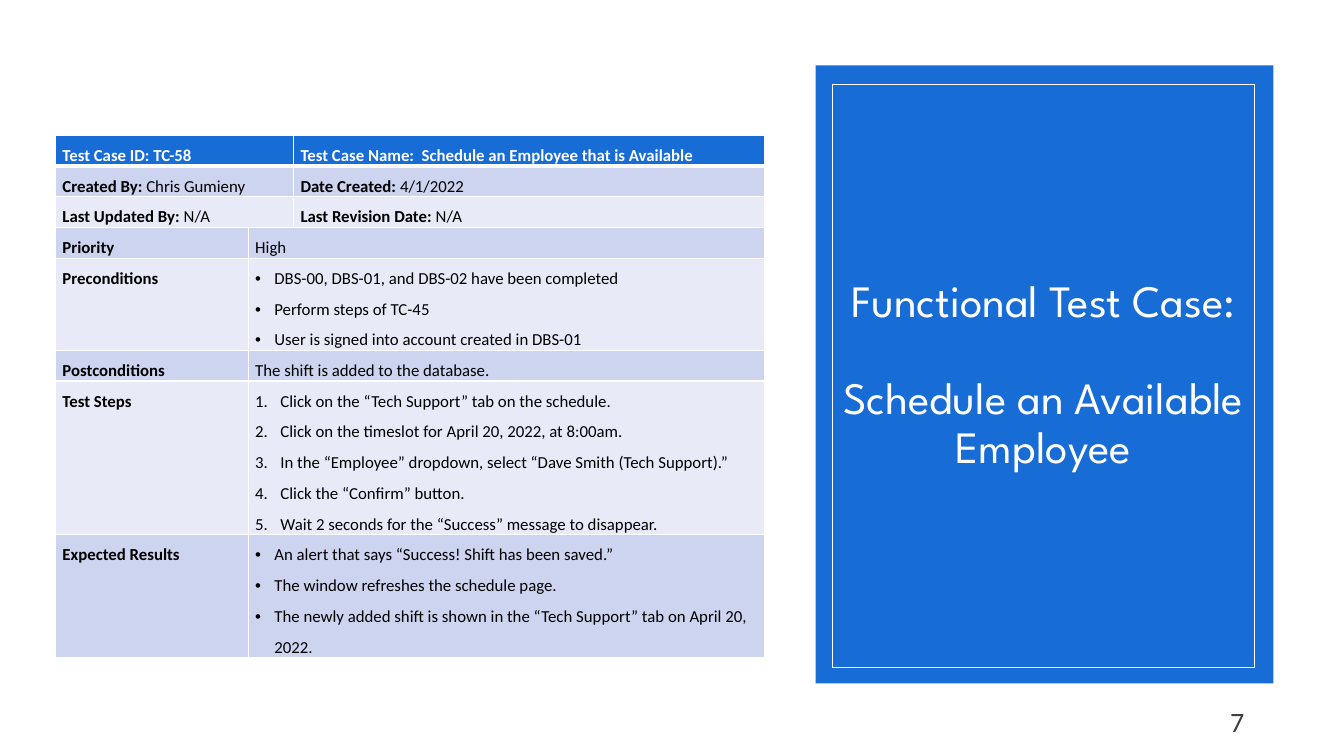
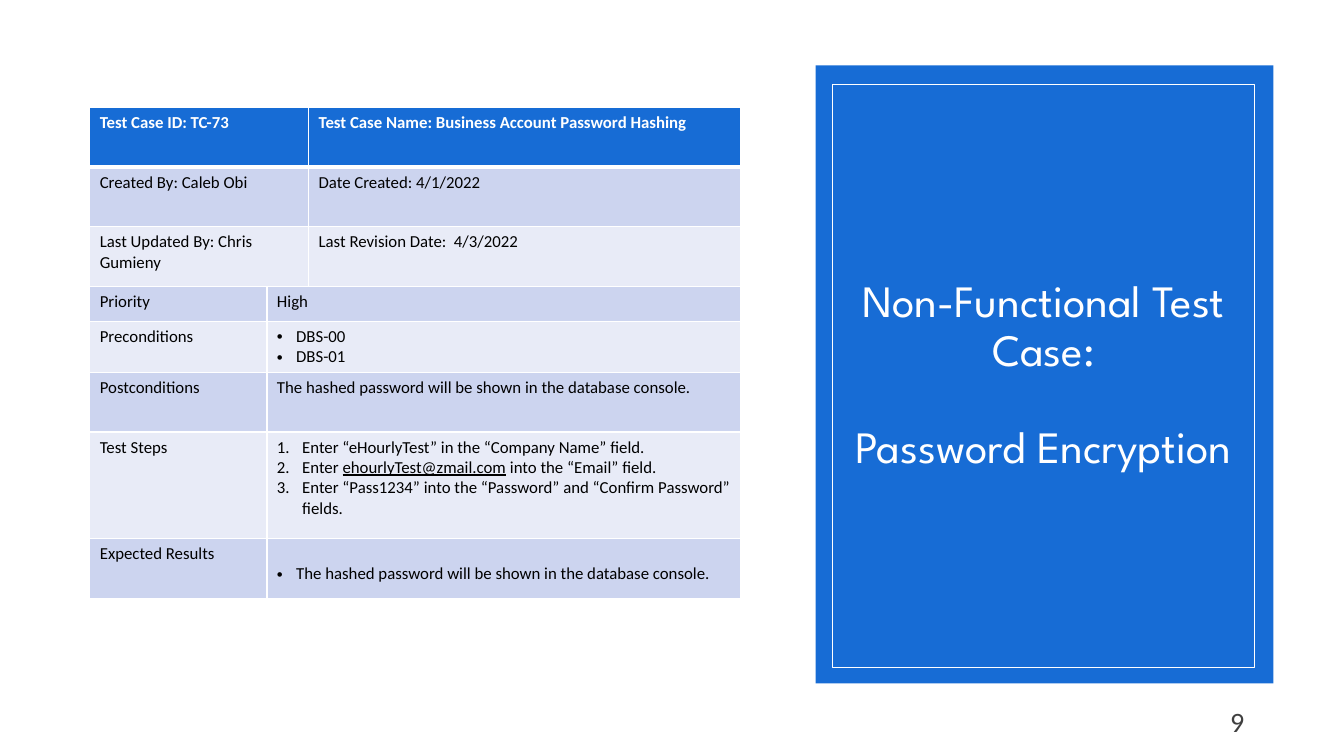
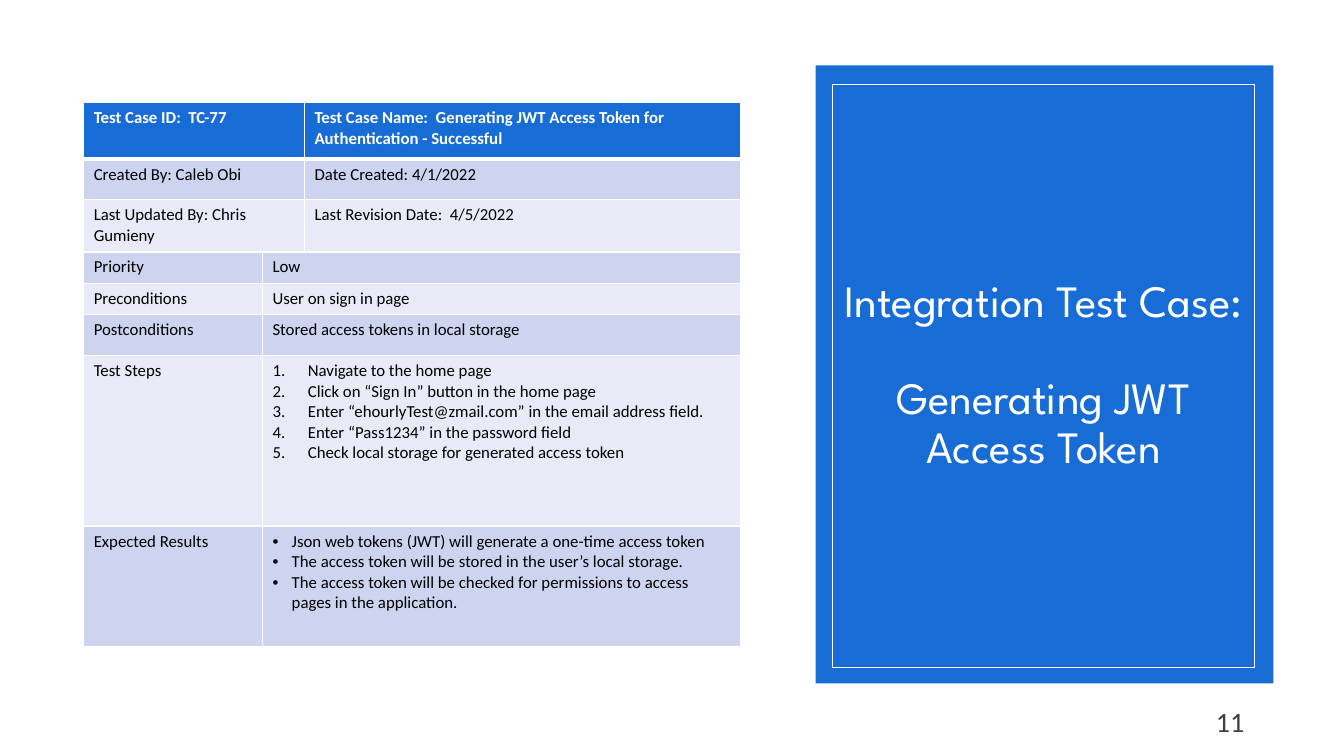
from lxml.etree import SubElement
from pptx import Presentation
from pptx.dml.color import RGBColor
from pptx.enum.shapes import MSO_SHAPE as Preset
from pptx.enum.text import MSO_ANCHOR as Anchor, MSO_AUTO_SIZE as AutoSize, PP_ALIGN as Align
from pptx.oxml.ns import qn
from pptx.util import Inches, Pt

# Shared look
BLUE = RGBColor(0x17, 0x6C, 0xD5)
DARK_BAND = RGBColor(0xCC, 0xD4, 0xEF)
LIGHT_BAND = RGBColor(0xE8, 0xEB, 0xF7)
WHITE = RGBColor(0xFF, 0xFF, 0xFF)
BLACK = RGBColor(0, 0, 0)
GRAY = RGBColor(0x40, 0x40, 0x40)
BODY_FONT, TITLE_FONT = "Calibri", "League Spartan"

SLIDE_SIZE = (13.33, 7.5)
PANEL = (8.09, 0.65, 4.54, 6.13)
TITLE_FRAME = (8.26, 0.84, 4.18, 5.78)
PAGE_NUMBER = (11.52, 6.97, 0.92, 0.4)
COLUMN_SHARES = (0.272, 0.064, 0.664)
TITLE_GAP = 34.6
BULLET, NUMBER = "•", "1."
BULLET_INDENT = 0.19

# Content
EMAIL = "ehourlyTest@zmail.com"
HEAD_LABELS = [
    ("Test Case ID: ", "Test Case Name: "),
    ("Created By: ", "Date Created: "),
    ("Last Updated By: ", "Last Revision Date: "),
]
BODY_LABELS = ["Priority", "Preconditions", "Postconditions", "Test Steps", "Expected Results"]

CASES = [
    {
        "title": ("Functional Test Case:", "Schedule an Available Employee"),
        "page": 7,
        "place": (0.55, 1.34, 7.03),
        "rows": (0.26, 0.26, 0.26, 0.26, 0.84, 0.26, 1.42, 0.84),
        "cell": {"margin_left": 0.07, "margin_right": 0.07, "margin_top": 0, "margin_bottom": 0},
        "line_spacing": 1.5,
        "bold_labels": True,
        "number_indent": 0.25,
        "head": [
            ("TC-58", " Schedule an Employee that is Available"),
            ("Chris Gumieny", "4/1/2022"),
            ("N/A", "N/A"),
        ],
        "body": [
            "High",
            (BULLET, [
                "DBS-00, DBS-01, and DBS-02 have been completed",
                "Perform steps of TC-45",
                "User is signed into account created in DBS-01",
            ]),
            "The shift is added to the database.",
            (NUMBER, [
                "Click on the “Tech Support” tab on the schedule.",
                "Click on the timeslot for April 20, 2022, at 8:00am.",
                "In the “Employee” dropdown, select “Dave Smith (Tech Support).”",
                "Click the “Confirm” button.",
                "Wait 2 seconds for the “Success” message to disappear.",
            ]),
            (BULLET, [
                "An alert that says “Success! Shift has been saved.”",
                "The window refreshes the schedule page.",
                "The newly added shift is shown in the “Tech Support” tab on April 20, 2022.",
            ]),
        ],
    },
    {
        "title": ("Non-Functional Test Case:", "Password Encryption"),
        "page": 9,
        "place": (0.89, 1.07, 6.46),
        "rows": (0.59, 0.59, 0.59, 0.35, 0.35, 0.59, 1.06, 0.59),
        "number_indent": 0.25,
        "last_margin_top": 0.25,
        "head": [
            ("TC-73", "Business Account Password Hashing"),
            ("Caleb Obi", "4/1/2022"),
            ("Chris Gumieny", " 4/3/2022"),
        ],
        "body": [
            "High",
            (BULLET, ["DBS-00", "DBS-01"]),
            "The hashed password will be shown in the database console.",
            (NUMBER, [
                "Enter “eHourlyTest” in the “Company Name” field.",
                ("Enter ", EMAIL, " into the “Email” field."),
                "Enter “Pass1234” into the “Password” and “Confirm Password” fields.",
            ]),
            (BULLET, ["The hashed password will be shown in the database console."]),
        ],
    },
    {
        "title": ("Integration Test Case:", "Generating JWT Access Token"),
        "page": 11,
        "place": (0.83, 1.02, 6.52),
        "rows": (0.56, 0.4, 0.52, 0.31, 0.31, 0.41, 1.69, 1.2),
        "number_indent": 0.35,
        "head": [
            (" TC-77", " Generating JWT Access Token for Authentication - Successful"),
            ("Caleb Obi", "4/1/2022"),
            ("Chris Gumieny", " 4/5/2022"),
        ],
        "body": [
            "Low",
            "User on sign in page",
            "Stored access tokens in local storage",
            (NUMBER, [
                "Navigate to the home page",
                "Click on “Sign In” button in the home page",
                f"Enter “{EMAIL}” in the email address field.",
                "Enter “Pass1234” in the password field",
                "Check local storage for generated access token",
            ]),
            (BULLET, [
                "Json web tokens (JWT) will generate a one-time access token",
                "The access token will be stored in the user’s local storage.",
                "The access token will be checked for permissions to access pages in the application.",
            ]),
        ],
    },
]


# Text helpers
def apply(target, formats):
    for name, value in formats.items():
        setattr(target, name, value)


def add_run(paragraph, text, color=BLACK, **formats):
    run = paragraph.add_run()
    run.text = text
    apply(run.font, {"name": BODY_FONT, "size": Pt(12), "bold": False, **formats})
    run.font.color.rgb = color


def add_marker(paragraph, marker, indent):
    properties = paragraph._p.get_or_add_pPr()
    properties.set("marL", str(Inches(indent)))
    properties.set("indent", str(-Inches(indent)))
    if marker == BULLET:
        SubElement(properties, qn("a:buFont")).set("typeface", "Arial")
        SubElement(properties, qn("a:buChar")).set("char", BULLET)
    else:
        SubElement(properties, qn("a:buAutoNum")).set("type", "arabicPeriod")


# Table helpers
def set_borders(cell, top, bottom):
    properties = cell._tc.get_or_add_tcPr()
    widths = {"a:lnL": 1, "a:lnR": 1, "a:lnT": top, "a:lnB": bottom}
    for tag, width in widths.items():
        line = SubElement(properties, qn(tag), w=str(Pt(width)))
        fill = SubElement(line, qn("a:solidFill"))
        SubElement(fill, qn("a:srgbClr")).set("val", str(WHITE))


def fill_list(cell, case, marker, items):
    frame = cell.text_frame
    indent = BULLET_INDENT if marker == BULLET else case["number_indent"]
    for index, item in enumerate(items):
        paragraph = frame.add_paragraph() if index else frame.paragraphs[0]
        paragraph.line_spacing = case.get("line_spacing")
        add_marker(paragraph, marker, indent)
        pieces = (item,) if isinstance(item, str) else item
        for position, piece in enumerate(pieces):
            add_run(paragraph, piece, underline=position % 2 == 1)


def fill_line(cell, case, label, value, header=False):
    paragraph = cell.text_frame.paragraphs[0]
    paragraph.line_spacing = case.get("line_spacing")
    color = WHITE if header else BLACK
    if label:
        add_run(paragraph, label, color, bold=header or case.get("bold_labels", False))
    if value:
        add_run(paragraph, value, color, bold=header)


def add_case_table(slide, case):
    left, top, width = case["place"]
    heights = case["rows"]
    frame = slide.shapes.add_table(len(heights), len(COLUMN_SHARES), Inches(left), Inches(top),
                                   Inches(width), Inches(sum(heights)))
    table = frame.table
    for column, share in zip(table.columns, COLUMN_SHARES):
        column.width = Inches(width * share)
    margins = {name: Inches(value) for name, value in case.get("cell", {}).items()}
    head_count = len(HEAD_LABELS)

    for index, height in enumerate(heights):
        table.rows[index].height = Inches(height)
        band = BLUE if index == 0 else DARK_BAND if index % 2 else LIGHT_BAND
        for column in range(len(COLUMN_SHARES)):
            cell = table.cell(index, column)
            set_borders(cell, 3 if index == 1 else 1, 3 if index == 0 else 1)
            cell.fill.solid()
            cell.fill.fore_color.rgb = band
            apply(cell, margins)
        # Head rows join the first two columns, body rows the last two
        start = 0 if index < head_count else 1
        table.cell(index, start).merge(table.cell(index, start + 1))

    for index, (labels, values) in enumerate(zip(HEAD_LABELS, case["head"])):
        for column, label, value in zip((0, 2), labels, values):
            fill_line(table.cell(index, column), case, label, value, header=index == 0)

    for index, (label, value) in enumerate(zip(BODY_LABELS, case["body"]), head_count):
        fill_line(table.cell(index, 0), case, label, "")
        cell = table.cell(index, 1)
        if isinstance(value, str):
            fill_line(cell, case, "", value)
        else:
            fill_list(cell, case, *value)
    if "last_margin_top" in case:
        table.cell(len(heights) - 1, 1).margin_top = Inches(case["last_margin_top"])


# Title panel and page number
def add_title_panel(slide, lines):
    title = slide.shapes.title
    panel = slide.shapes.add_shape(Preset.RECTANGLE, *map(Inches, PANEL))
    panel.shadow.inherit = False
    panel.fill.solid()
    panel.fill.fore_color.rgb = BLUE
    panel.line.fill.background()
    title._element.addprevious(panel._element)

    apply(title, dict(zip(("left", "top", "width", "height"), map(Inches, TITLE_FRAME))))
    title.line.color.rgb = WHITE
    title.line.width = Pt(0.5)
    frame = title.text_frame
    apply(frame, {"word_wrap": True, "auto_size": AutoSize.NONE, "vertical_anchor": Anchor.MIDDLE})
    for index, line in enumerate(lines):
        paragraph = frame.add_paragraph() if index else frame.paragraphs[0]
        apply(paragraph, {"alignment": Align.CENTER, "line_spacing": 0.9,
                          "space_before": Pt(TITLE_GAP * index)})
        add_run(paragraph, line, WHITE, name=TITLE_FONT, size=Pt(32))


def add_page_number(slide, number):
    frame = slide.shapes.add_textbox(*map(Inches, PAGE_NUMBER)).text_frame
    apply(frame, {"word_wrap": True, "vertical_anchor": Anchor.BOTTOM})
    paragraph = frame.paragraphs[0]
    paragraph.alignment = Align.RIGHT
    add_run(paragraph, str(number), GRAY, size=Pt(20))


def main():
    presentation = Presentation()
    presentation.slide_width, presentation.slide_height = map(Inches, SLIDE_SIZE)
    title_only = presentation.slide_layouts[5]
    for case in CASES:
        slide = presentation.slides.add_slide(title_only)
        add_title_panel(slide, case["title"])
        add_case_table(slide, case)
        add_page_number(slide, case["page"])
    presentation.save("out.pptx")


if __name__ == "__main__":
    main()
